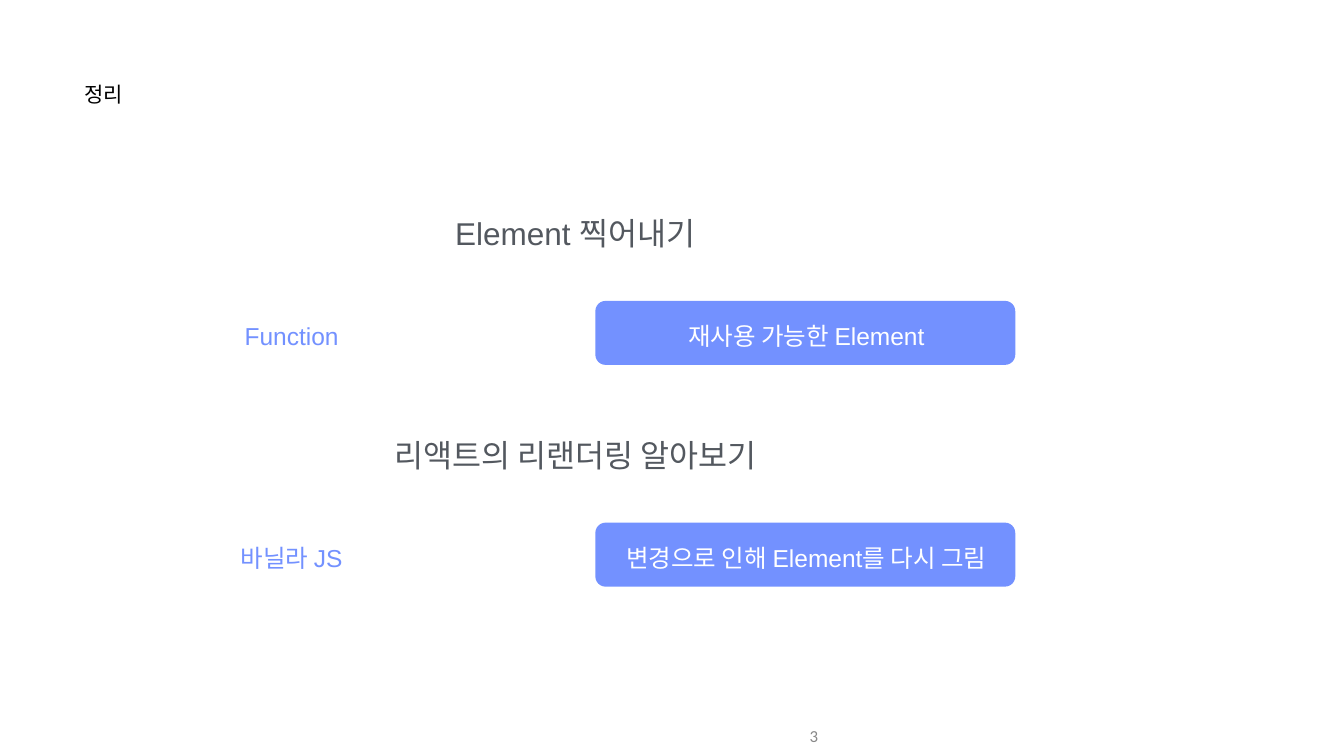
from pptx import Presentation
from pptx.dml.color import RGBColor
from pptx.enum.shapes import MSO_SHAPE
from pptx.enum.text import MSO_ANCHOR, MSO_AUTO_SIZE, PP_ALIGN
from pptx.util import Inches, Pt

BLUE, GRAY, WHITE = "7391FF", "53585F", "FFFFFF"
TOP, STEP = 4.24, 4.4
ROWS = [
    ("Element 찍어내기", "Function", "재사용 가능한 Element"),
    ("리액트의 리랜더링 알아보기", "바닐라 JS", "변경으로 인해 Element를 다시 그림"),
]


def color(code):
    return RGBColor.from_string(code)


def write(frame, text, size=35, ink=BLUE, font="Arial", align=PP_ALIGN.CENTER,
          anchor=MSO_ANCHOR.MIDDLE, pad=(0.01, 0.01)):
    frame.word_wrap = True
    frame.auto_size = MSO_AUTO_SIZE.NONE
    frame.vertical_anchor = anchor
    frame.margin_left = frame.margin_right = Inches(pad[0])
    frame.margin_top = frame.margin_bottom = Inches(pad[1])
    line = frame.paragraphs[0]
    line.alignment = align
    run = line.add_run()
    run.text = text
    run.font.size = Pt(size)
    run.font.name = font
    run.font.color.rgb = color(ink)


def label(slide, text, left, top, width, height, **style):
    box = slide.shapes.add_textbox(
        Inches(left), Inches(top), Inches(width), Inches(height))
    write(box.text_frame, text, **style)


def panel(slide, left, top, width, height):
    card = slide.shapes.add_shape(
        MSO_SHAPE.ROUNDED_RECTANGLE,
        Inches(left), Inches(top), Inches(width), Inches(height))
    card.adjustments[0] = 0.16
    card.shadow.inherit = False
    card.fill.solid()
    card.fill.fore_color.rgb = color(BLUE)
    card.line.fill.background()


def heading(slide, text):
    title = slide.shapes.title
    title.left, title.top = Inches(1.67), Inches(1.6)
    title.width, title.height = Inches(4.86), Inches(1.18)
    write(title.text_frame, text, size=30, ink="000000",
          align=PP_ALIGN.LEFT, anchor=MSO_ANCHOR.TOP)


def topic(slide, top, head, term, note):
    label(slide, head, 2.64, top, 17.54, 0.79,
          size=45, ink=GRAY, anchor=MSO_ANCHOR.TOP)
    panel(slide, 11.81, top + 1.73, 8.33, 1.27)
    label(slide, term, 2.66, top + 2.11, 6.25, 0.62)
    label(slide, note, 11.83, top + 2.11, 8.33, 0.62, ink=WHITE)


def main():
    deck = Presentation()
    deck.slide_width, deck.slide_height = Inches(26.66), Inches(15)
    slide = deck.slides.add_slide(deck.slide_layouts[5])

    # Title
    heading(slide, "정리")

    # Topics with a term and its meaning
    for i, row in enumerate(ROWS):
        topic(slide, TOP + i * STEP, *row)

    # Page number
    label(slide, "3", 10.33, 14.21, 6, 0.79, size=24, ink="888888",
          font="Calibri", align=PP_ALIGN.RIGHT, pad=(0.1, 0.05))

    deck.save("out.pptx")


if __name__ == "__main__":
    main()
